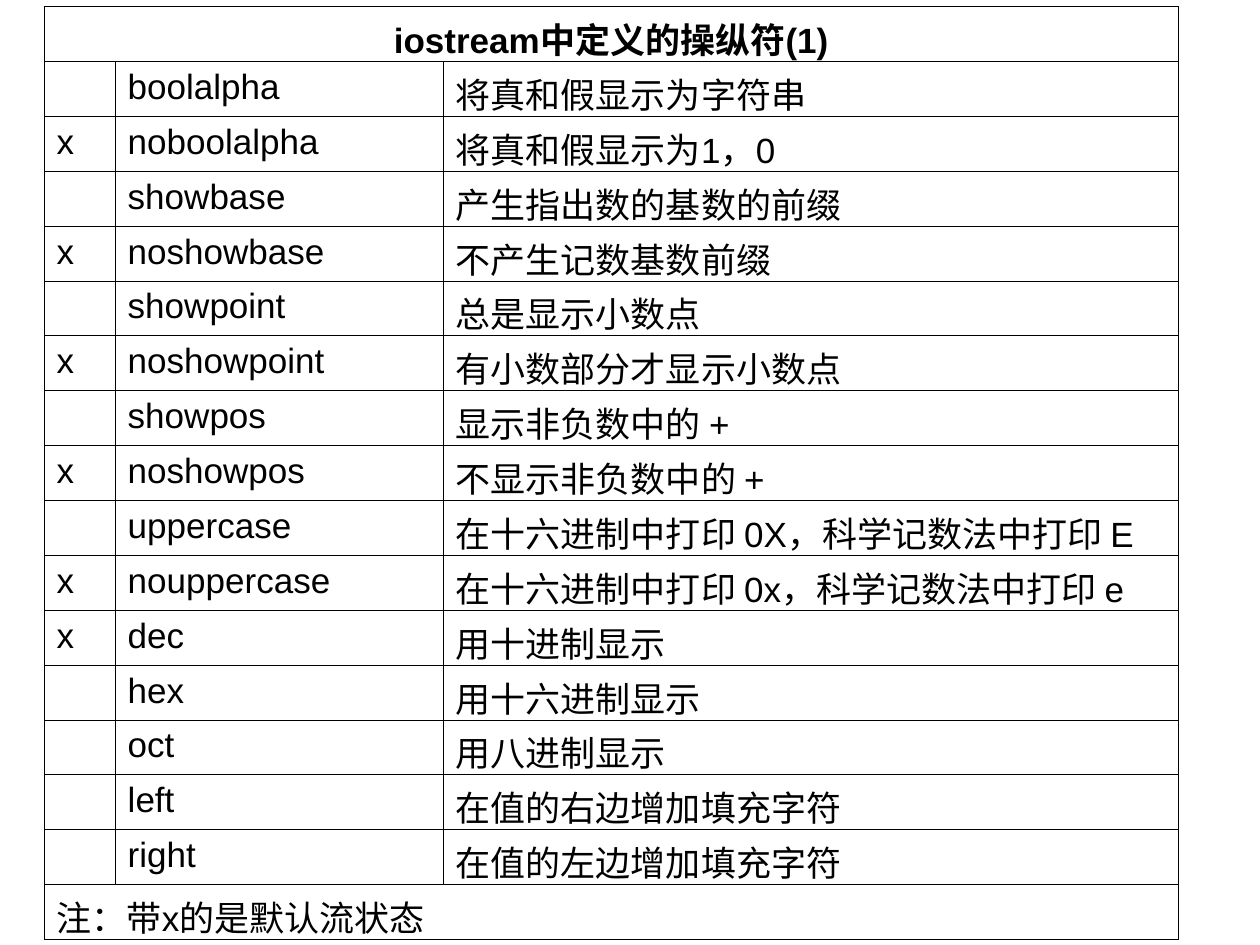
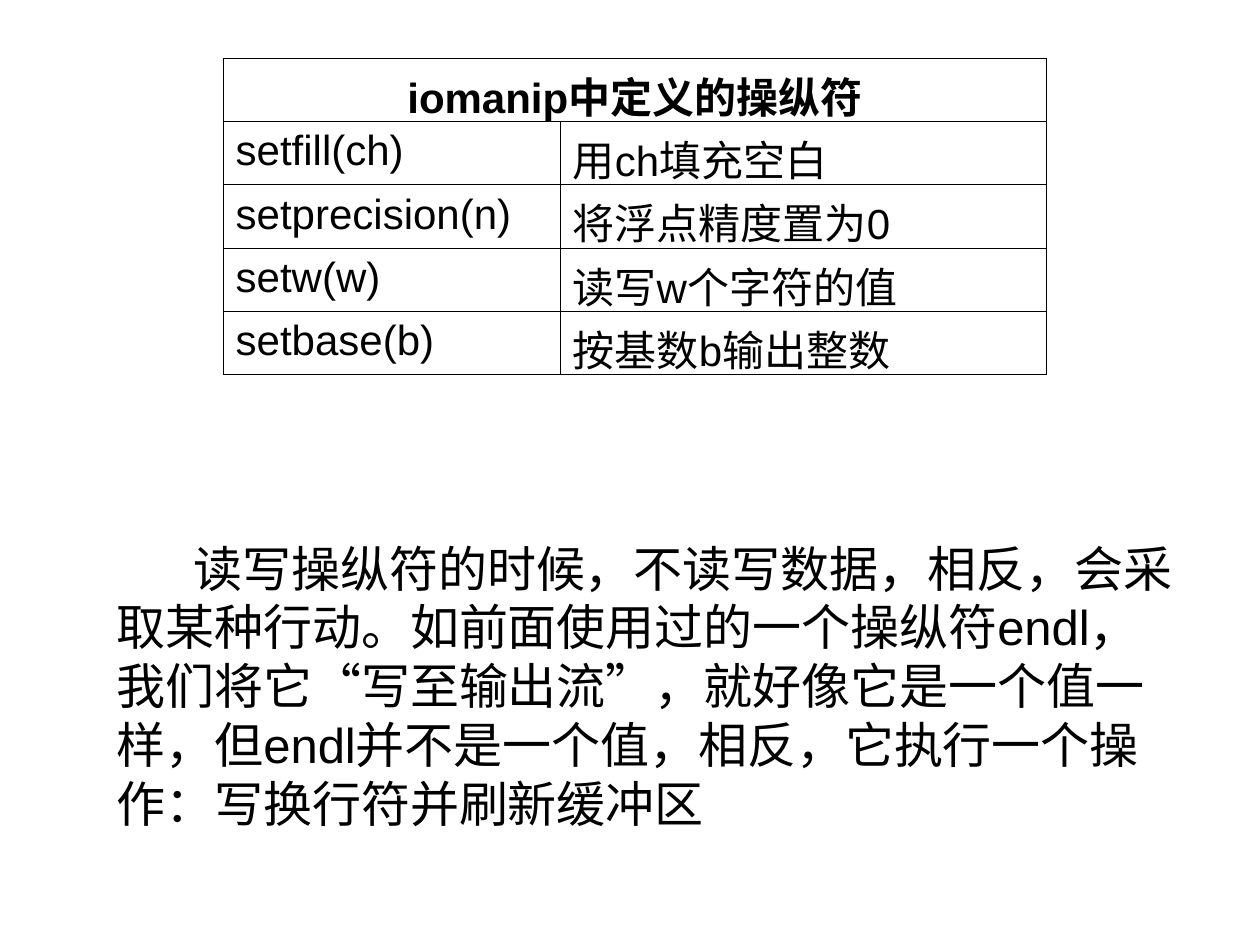
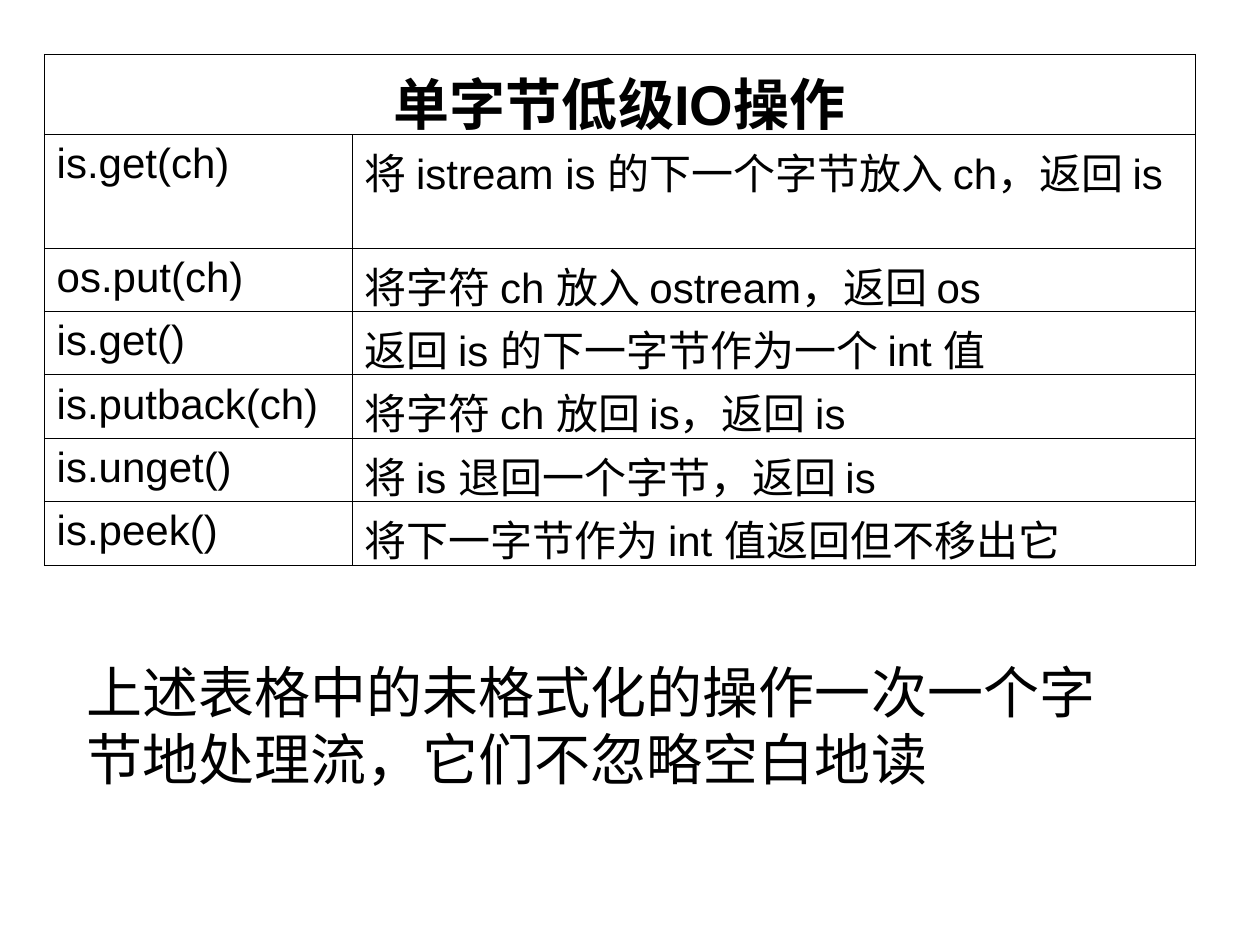
"""Build three slides of C++ stream manipulator and byte-level IO tables."""
from dataclasses import dataclass

from lxml import etree
from pptx import Presentation
from pptx.dml.color import RGBColor
from pptx.enum import text
from pptx.util import Pt

BLACK = RGBColor(0, 0, 0)
WHITE = RGBColor(255, 255, 255)
FACE = "Arial"
RULE = Pt(0.45)
NS = "http://schemas.openxmlformats.org/drawingml/2006/main"


@dataclass
class Grid:
    left: float
    top: float
    cols: list[float]
    rows: list[float]
    cells: list[tuple[str, ...]]
    size: float
    head: float
    foot: float = 3.6


@dataclass
class Note:
    left: float
    top: float
    width: float
    height: float
    words: str
    size: float
    indent: float = 0


STREAM = Grid(25.2, 3.8, [40.6, 187.4, 420], [31.36] * 17, [
    ("iostream中定义的操纵符(1)",),
    ("", "boolalpha", "将真和假显示为字符串"),
    ("x", "noboolalpha", "将真和假显示为1，0"),
    ("", "showbase", "产生指出数的基数的前缀"),
    ("x", "noshowbase", "不产生记数基数前缀"),
    ("", "showpoint", "总是显示小数点"),
    ("x", "noshowpoint", "有小数部分才显示小数点"),
    ("", "showpos", "显示非负数中的 +"),
    ("x", "noshowpos", "不显示非负数中的 +"),
    ("", "uppercase", "在十六进制中打印 0X，科学记数法中打印 E"),
    ("x", "nouppercase", "在十六进制中打印 0x，科学记数法中打印 e"),
    ("x", "dec", "用十进制显示"),
    ("", "hex", "用十六进制显示"),
    ("", "oct", "用八进制显示"),
    ("", "left", "在值的右边增加填充字符"),
    ("", "right", "在值的左边增加填充字符"),
    ("注：带x的是默认流状态",),
], 20, 20, -2)

MANIP = Grid(127.5, 33.2, [192.6, 278], [36.2] * 5, [
    ("iomanip中定义的操纵符",),
    ("setfill(ch)", "用ch填充空白"),
    ("setprecision(n)", "将浮点精度置为0"),
    ("setw(w)", "读写w个字符的值"),
    ("setbase(b)", "按基数b输出整数"),
], 24, 24, -3)

BYTES = Grid(25.2, 31, [176, 482], [45.8, 65] + [36.2] * 5, [
    ("单字节低级IO操作",),
    ("is.get(ch)", "将 istream is 的下一个字节放入 ch，返回 is"),
    ("os.put(ch)", "将字符 ch 放入 ostream，返回 os"),
    ("is.get()", "返回 is 的下一字节作为一个 int 值"),
    ("is.putback(ch)", "将字符 ch 放回 is，返回 is"),
    ("is.unget()", "将 is 退回一个字节，返回 is"),
    ("is.peek()", "将下一字节作为 int 值返回但不移出它"),
], 24, 32)

ENDL = Note(59.5, 304, 617.8, 175.7,
            "读写操纵符的时候，不读写数据，相反，会采取某种行动。"
            "如前面使用过的一个操纵符endl，我们将它“写至输出流”，"
            "就好像它是一个值一样，但endl并不是一个值，相反，"
            "它执行一个操作：写换行符并刷新缓冲区", 28, 44)
RAW = Note(42.5, 372.2, 612.7, 84.2,
           "上述表格中的未格式化的操作一次一个字节地处理流，它们不忽略空白地读", 32)

PAGES = [(STREAM, None), (MANIP, ENDL), (BYTES, RAW)]


def style(par, size: float, bold: bool = False) -> None:
    """Format every run of a paragraph."""
    for run in par.runs:
        run.font.name = FACE
        run.font.size = Pt(size)
        run.font.bold = bold
        run.font.color.rgb = BLACK


def frame(cell, foot: float) -> None:
    """Give a cell its bottom margin, a thin black border and a white fill."""
    cell.margin_bottom = Pt(foot)
    cell.vertical_anchor = text.MSO_ANCHOR.TOP
    props = cell._tc.get_or_add_tcPr()
    for side in ("lnL", "lnR", "lnT", "lnB"):
        line = etree.SubElement(props, f"{{{NS}}}{side}", w=str(RULE))
        fill = etree.SubElement(line, f"{{{NS}}}solidFill")
        etree.SubElement(fill, f"{{{NS}}}srgbClr", val=str(BLACK))
    cell.fill.solid()
    cell.fill.fore_color.rgb = WHITE


def draw_grid(slide, grid: Grid) -> None:
    """Draw a table whose one-item rows span its full width."""
    table = slide.shapes.add_table(
        len(grid.rows), len(grid.cols), Pt(grid.left), Pt(grid.top),
        Pt(sum(grid.cols)), Pt(sum(grid.rows))).table
    table.first_row = table.horz_banding = False
    for col, width in zip(table.columns, grid.cols):
        col.width = Pt(width)
    for row, height in zip(table.rows, grid.rows):
        row.height = Pt(height)
    for cell in table.iter_cells():
        frame(cell, grid.foot)
    for r, words in enumerate(grid.cells):
        if len(words) == 1:
            table.cell(r, 0).merge(table.cell(r, len(grid.cols) - 1))
        for c, word in enumerate(words):
            if word:
                cell = table.cell(r, c)
                cell.text_frame.text = word
                style(cell.text_frame.paragraphs[0],
                      grid.size if r else grid.head, r == 0)
    title = table.cell(0, 0)
    title.text_frame.paragraphs[0].alignment = text.PP_ALIGN.CENTER
    if grid.head > grid.size:
        title.vertical_anchor = text.MSO_ANCHOR.MIDDLE


def draw_note(slide, note: Note) -> None:
    """Draw a wrapped paragraph below a table."""
    box = slide.shapes.add_textbox(
        Pt(note.left), Pt(note.top), Pt(note.width), Pt(note.height))
    body = box.text_frame
    body.word_wrap = True
    body.auto_size = text.MSO_AUTO_SIZE.SHAPE_TO_FIT_TEXT
    body.text = note.words
    par = body.paragraphs[0]
    if note.indent:
        par._p.get_or_add_pPr().set("indent", str(Pt(note.indent)))
    style(par, note.size)


def main() -> None:
    """Build and save the deck."""
    deck = Presentation()
    deck.slide_width, deck.slide_height = Pt(720), Pt(540)
    for grid, note in PAGES:
        slide = deck.slides.add_slide(deck.slide_layouts[6])
        draw_grid(slide, grid)
        if note:
            draw_note(slide, note)
    deck.save("out.pptx")


if __name__ == "__main__":
    main()
